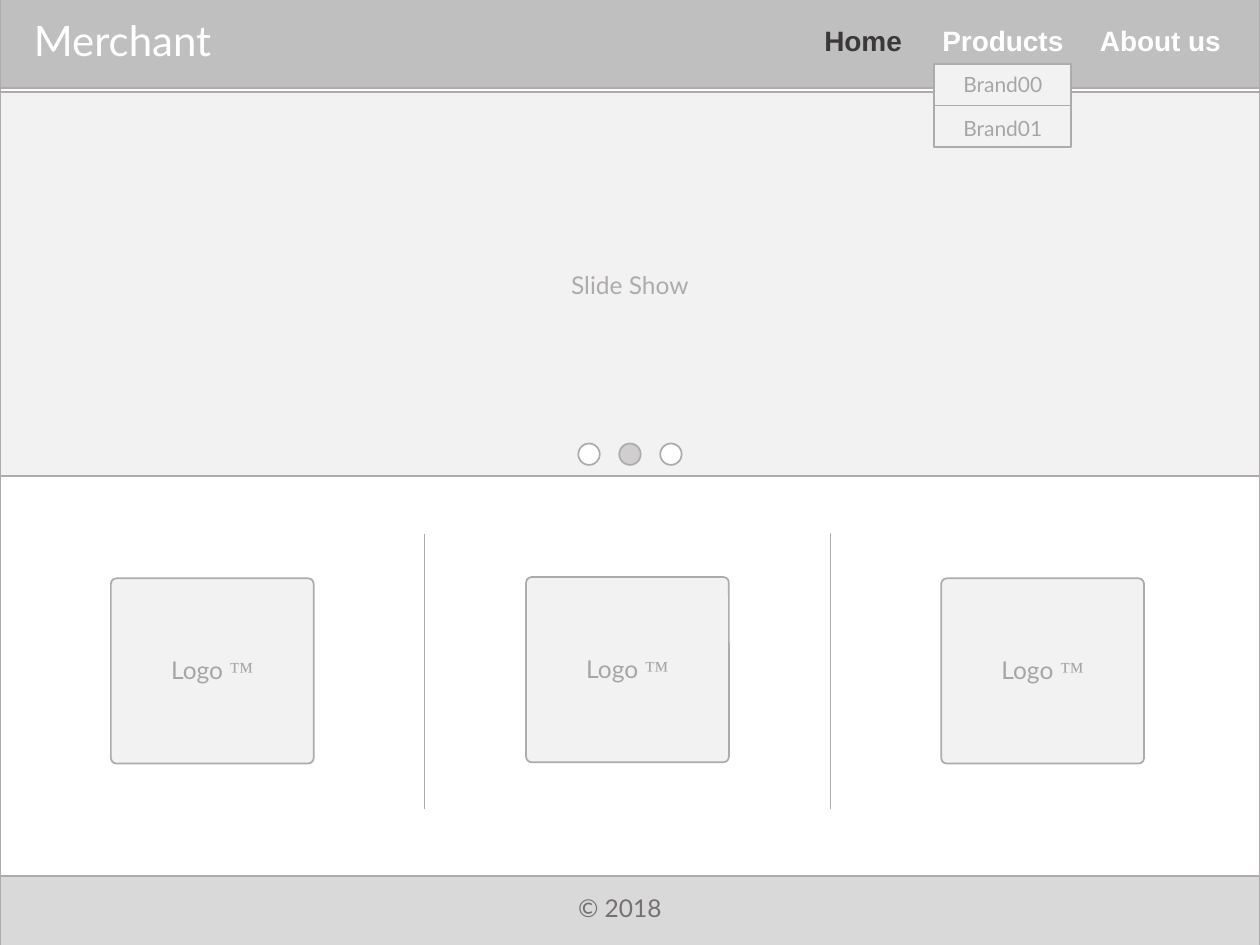
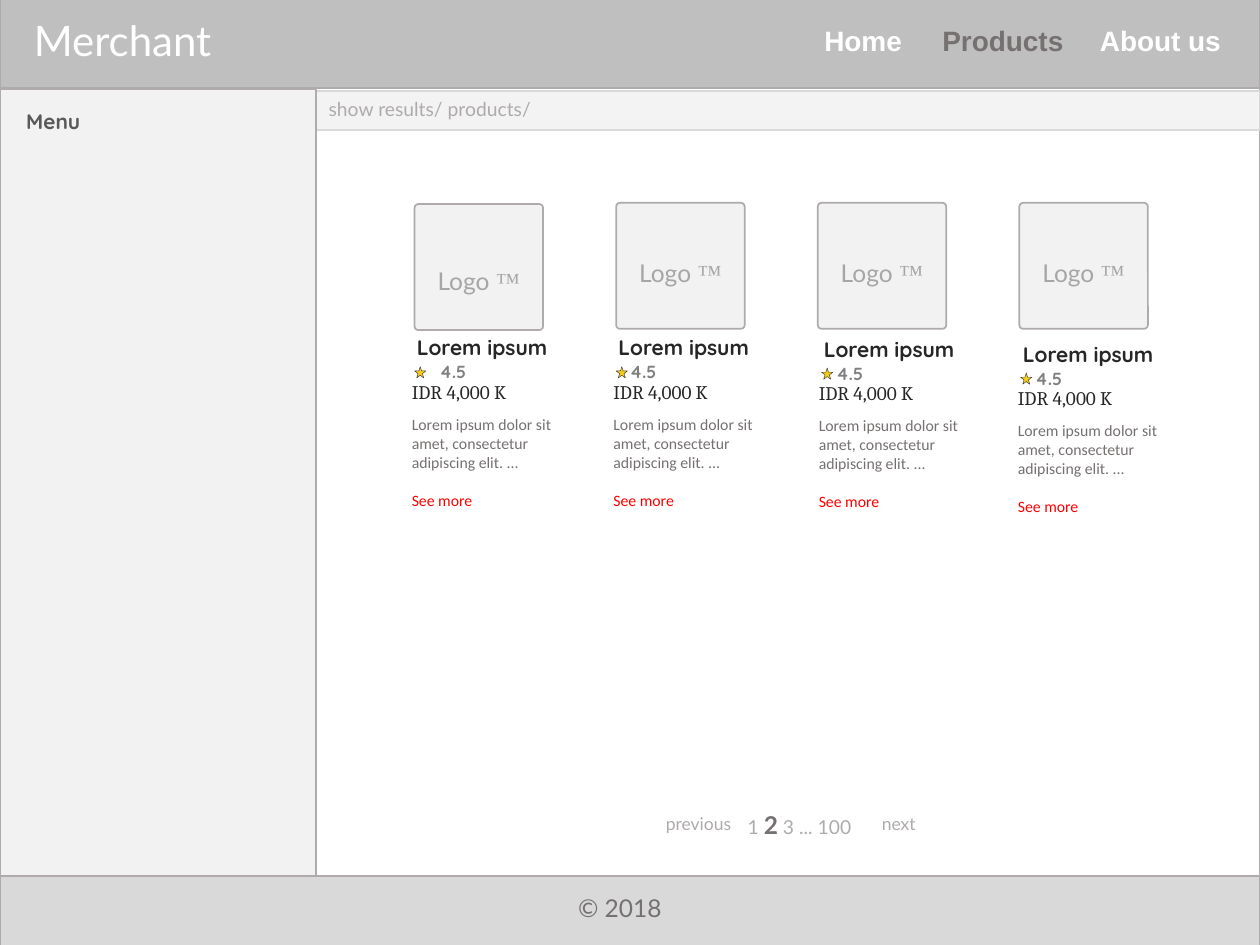
"""Build a two-page wireframe of a merchant web shop."""
import pptx
import pptx.dml.color
import pptx.enum.shapes
import pptx.enum.text
import pptx.oxml.xmlchemy
import pptx.util
from lxml import etree
from pptx.util import Inches

SHAPE = pptx.enum.shapes.MSO_SHAPE
ALIGN = pptx.enum.text.PP_ALIGN
DRAWING_NS = "http://schemas.openxmlformats.org/drawingml/2006/main"

COLORS = {
    "white": "FFFFFF",
    "header": "BFBFBF",
    "footer": "D9D9D9",
    "panel": "F2F2F2",
    "breadcrumb": "F3F3F3",
    "outline": "AFABAB",
    "active_dot": "D0CECE",
    "caption": "A6A6A6",
    "muted": "767171",
    "dark": "3B3838",
    "ink": "262626",
    "menu": "595959",
    "rating": "808080",
    "star": "F7CC15",
    "link": "FF0000",
}


class Wireframe:
    def __init__(self):
        self.deck = pptx.Presentation()
        self.deck.slide_width = Inches(10)
        self.deck.slide_height = Inches(7.5)
        self.slide = None

    def color(self, name):
        return pptx.dml.color.RGBColor.from_string(COLORS[name])

    def box(self, left, top, width, height, fill=None, outline="outline",
            weight=1, kind=SHAPE.RECTANGLE):
        box = self.slide.shapes.add_shape(
            kind, Inches(left), Inches(top), Inches(width), Inches(height))
        box.shadow.inherit = False
        if fill:
            box.fill.solid()
            box.fill.fore_color.rgb = self.color(fill)
        else:
            box.fill.background()
        box.line.color.rgb = self.color(outline)
        box.line.width = pptx.util.Pt(weight)
        return box

    def rule(self, x1, y1, x2, y2):
        rule = self.slide.shapes.add_connector(
            pptx.enum.shapes.MSO_CONNECTOR.STRAIGHT,
            Inches(x1), Inches(y1), Inches(x2), Inches(y2))
        rule.line.color.rgb = self.color("outline")
        rule.line.width = pptx.util.Pt(0.5)
        etree.SubElement(rule.element.spPr, f"{{{DRAWING_NS}}}effectLst")

    def style(self, run, size, color, font="Lato", bold=False):
        run.font.size = pptx.util.Pt(size)
        run.font.name = font
        run.font.bold = bold
        run.font.color.rgb = self.color(color)

    def label(self, left, top, width, height, text, size, color,
              font="Lato", bold=False, align=ALIGN.LEFT):
        label = self.slide.shapes.add_textbox(
            Inches(left), Inches(top), Inches(width), Inches(height))
        frame = label.text_frame
        frame.word_wrap = True
        frame.text = text
        for paragraph in frame.paragraphs:
            paragraph.alignment = align
            for run in paragraph.runs:
                self.style(run, size, color, font, bold)
        return frame

    def logo_tile(self, left, top, width, height, caption_top, caption_width):
        tile = self.box(left, top, width, height, "panel",
                        kind=SHAPE.ROUNDED_RECTANGLE)
        tile.adjustments[0] = 0.03
        caption = self.label(left + (width - caption_width) / 2, caption_top,
                             caption_width, 0.34, "Logo ", 14, "caption",
                             align=ALIGN.CENTER)
        trademark = caption.paragraphs[0].add_run()
        trademark.text = "™"
        self.style(trademark, 14, "caption", "Times New Roman")

    def page(self, active, active_color):
        self.slide = self.deck.slides.add_slide(self.deck.slide_layouts[6])
        self.box(0, 0, 10, 7.5)
        self.box(0, -0.06, 10, 0.76, "header")
        self.box(0, 6.95, 10, 0.59, "footer")
        self.label(3.97, 7.04, 1.9, 0.34, "© 2018", 14, "muted",
                   align=ALIGN.CENTER)
        self.label(0.17, 0.07, 1.9, 0.5, "Merchant", 24, "white")
        for left, entry in ((5.9, "Home"), (7.01, "Products"), (8.26, "About us")):
            self.label(left, 0.14, 1.9, 0.37, entry, 16,
                       active_color if entry == active else "white",
                       "Arial", True, ALIGN.CENTER)

    def product(self, left, drop, rating_gap):
        self.label(left + 0.04, 2.61 + drop, 1.53, 0.3, "Lorem ipsum", 12,
                   "ink", "Quicksand", True)
        self.box(left + 0.12, 2.91 + drop, 0.09, 0.09, "star", "dark", 0.25,
                 SHAPE.STAR_5_POINT)
        self.label(left + rating_gap, 2.82 + drop, 0.5, 0.27, "4.5", 10,
                   "rating", "Quicksand", True)
        blurb = self.label(
            left, 3.24 + drop, 1.57, 0.86,
            "Lorem ipsum dolor sit amet, consectetur adipiscing elit. ...\nSee more",
            9, "muted", "Calibri")
        see_more = blurb.paragraphs[1]
        see_more.space_before = pptx.util.Pt(11)
        see_more.runs[0].font.color.rgb = self.color("link")
        self.label(left, 2.97 + drop, 1.03, 0.29, "IDR 4,000 K", 11, "ink",
                   "Cambria")


def build_home(site):
    site.page("Home", "dark")
    site.box(0, 0.73, 10, 3.05, "panel")
    site.label(4.05, 2.09, 1.9, 0.34, "Slide Show", 14, "outline",
               align=ALIGN.CENTER)
    for index, fill in enumerate(("white", "active_dot", "white")):
        site.box(4.59 + 0.325 * index, 3.52, 0.17, 0.17, fill, kind=SHAPE.OVAL)

    for divider, top in ((3.37, 4.24), (6.59, 4.23)):
        site.rule(divider, top, divider, 6.42)
    for index, top in enumerate((4.59, 4.58, 4.59)):
        site.logo_tile(0.88 + 3.295 * index, top, 1.61, 1.47, top + 0.56, 1.9)

    site.box(7.41, 0.51, 1.09, 0.66, "panel")
    site.rule(7.41, 0.84, 8.5, 0.84)
    for top, brand in ((0.52, "Brand00"), (0.87, "Brand01")):
        site.label(7.01, top, 1.9, 0.3, brand, 12, "caption",
                   align=ALIGN.CENTER)


def build_products(site):
    site.page("Products", "muted")
    site.box(2.51, 0.72, 7.49, 0.31, "breadcrumb", "footer")
    site.label(2.51, 0.72, 3.25, 0.29, "show results/ products/", 11, "outline")
    site.box(0, 0.71, 2.51, 6.24, "panel")
    site.label(0.11, 0.81, 1.53, 0.3, "Menu", 12, "menu", "Quicksand", True)

    for index, (top, caption_top) in enumerate([(1.62, 2.06)] + [(1.61, 2)] * 3):
        site.logo_tile(3.29 + 1.6 * index, top, 1.02, 1, caption_top, 1.2)
    for left, drop, rating_gap in ((3.17, 0, 0.22), (4.77, 0, 0.13),
                                   (6.4, 0.01, 0.14), (7.98, 0.05, 0.14)):
        site.product(left, drop, rating_gap)

    site.label(2.65, 6.4, 3.25, 0.27, "previous", 10, "outline",
               align=ALIGN.RIGHT)
    site.label(6.9, 6.4, 3.25, 0.27, "next", 10, "outline")
    pager = site.label(4.74, 6.38, 3.25, 0.34, "1 ", 11, "outline",
                       align=ALIGN.CENTER).paragraphs[0]
    for text, size, color, bold in (("2", 14, "muted", True),
                                    (" 3 ... 100 ", 11, "outline", False)):
        run = pager.add_run()
        run.text = text
        site.style(run, size, color, bold=bold)


def main():
    site = Wireframe()
    build_home(site)
    build_products(site)
    site.deck.save("out.pptx")


if __name__ == "__main__":
    main()
